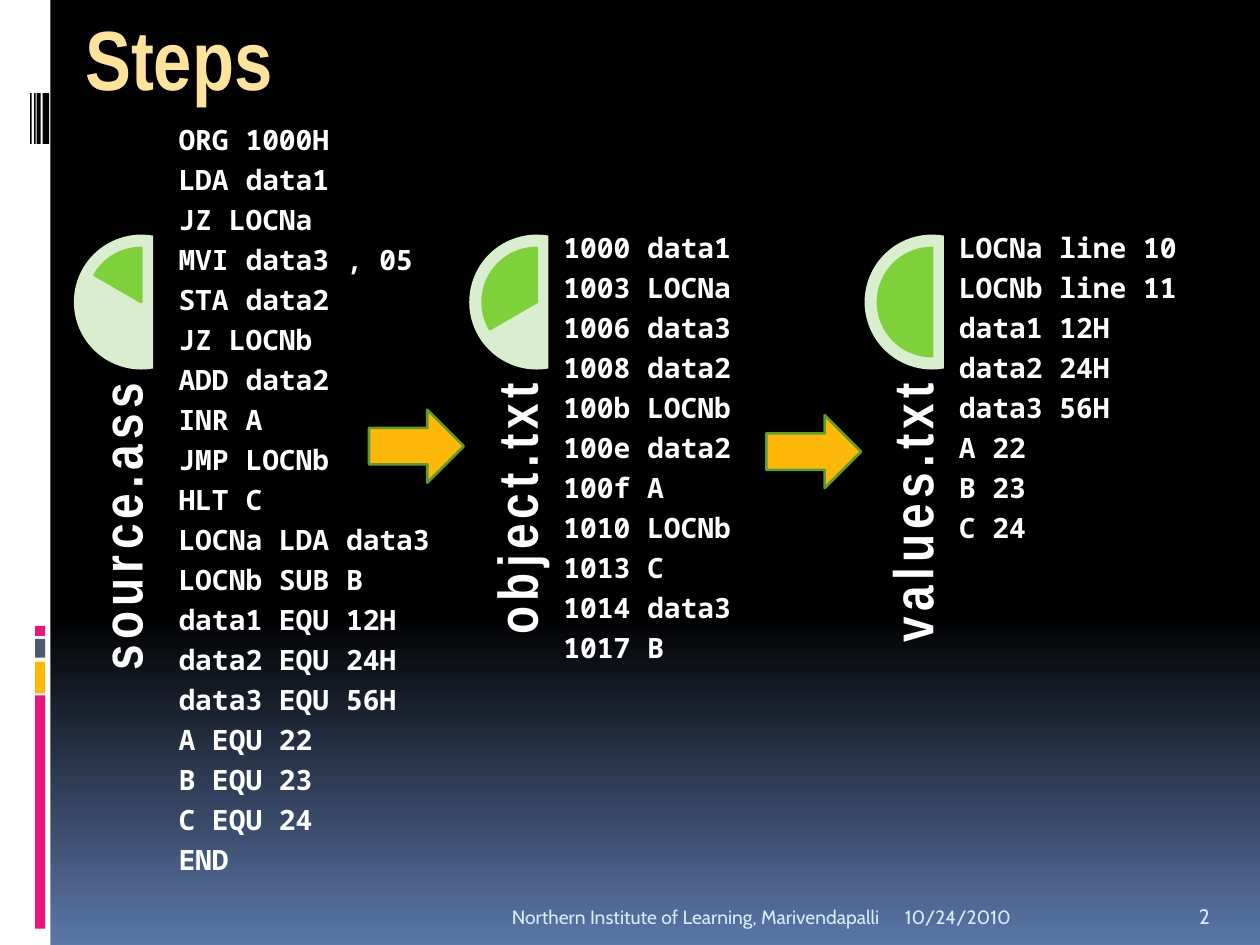
"""Build the slide that shows the steps from source file to object and value files."""
from pptx import Presentation
from pptx.dml.color import RGBColor
from pptx.enum.shapes import MSO_SHAPE
from pptx.enum.text import MSO_ANCHOR, PP_ALIGN
from pptx.util import Cm, Pt

RECT, CHORD, PIE, ARROW = MSO_SHAPE.RECTANGLE, MSO_SHAPE.CHORD, MSO_SHAPE.PIE, MSO_SHAPE.RIGHT_ARROW
TOP, MIDDLE, BOTTOM = MSO_ANCHOR.TOP, MSO_ANCHOR.MIDDLE, MSO_ANCHOR.BOTTOM
LEFT, RIGHT = PP_ALIGN.LEFT, PP_ALIGN.RIGHT

THEME = {
    "black": "000000", "white": "FFFFFF", "sky": "5B77A8", "pink": "EA157A",
    "gold": "FEB80A", "slate": "4E5B6F", "cream": "FFE39D", "ice": "D6ECFF",
    "pale": "D8EECE", "green": "7FD13B", "leaf": "5E9B2C",
    "head": {"name": "Arial Narrow", "size": Pt(48), "bold": True},
    "label": {"name": "Arial Narrow", "size": Pt(32), "bold": True},
    "code": {"name": "Noto Sans Mono", "size": Pt(16), "bold": True},
    "foot": {"name": "Cabin", "size": Pt(11)},
    "page": {"name": "Cabin", "size": Pt(12)},
}
TIGHT = {"line_spacing": 0.9, "space_after": Pt(5.6)}
FLUSH = {"margin_left": 0, "margin_top": 0, "margin_right": 0, "margin_bottom": 0}


def color(name):
    return RGBColor.from_string(THEME[name])


def add_form(kind, box, fill, line=None, turns=()):
    form = slide.shapes.add_shape(kind, *map(Cm, box))
    form.shadow.inherit = False
    form.fill.solid()
    form.fill.fore_color.rgb = color(fill)
    if line:
        form.line.color.rgb = color(line)
        form.line.width = Pt(1.5)
    else:
        form.line.fill.background()
    for i, turn in enumerate(turns):
        form.adjustments[i] = turn


def add_text(box, lines, font, tint, anchor, align=LEFT, frame={}, para={}):
    text = slide.shapes.add_textbox(*map(Cm, box))
    body = text.text_frame
    body.text = "\n".join(lines)
    for key, value in {"word_wrap": True, "vertical_anchor": anchor, **frame}.items():
        setattr(body, key, value)
    for item in body.paragraphs:
        for key, value in {"alignment": align, **para}.items():
            setattr(item, key, value)
        for run in item.runs:
            for key, value in THEME[font].items():
                setattr(run.font, key, value)
            run.font.color.rgb = color(tint)
    return text


deck = Presentation()
deck.slide_width, deck.slide_height = Cm(25.4), Cm(19.05)
slide = deck.slides.add_slide(deck.slide_layouts[6])

back = slide.background.fill
back.gradient()
back.gradient_angle = 270
for stop, spot, tint in zip(back.gradient_stops, (0.65, 1), ("black", "sky")):
    stop.position = spot
    stop.color.rgb = color(tint)

add_form(RECT, (0, 0, 1.02, 19.05), "white")
for top, high, tint in ((14.02, 4.7, "pink"), (13.34, 0.64, "gold"),
                        (12.88, 0.38, "slate"), (12.62, 0.2, "pink")):
    add_form(RECT, (0.71, top, 0.2, high), tint)
for left, wide in ((0.86, 0.13), (0.74, 0.08), (0.69, 0.03), (0.61, 0.03)):
    add_form(RECT, (left, 1.88, wide, 1.02), "black")

add_text((1.47, 0, 21.59, 2.54), ["Steps"], "head", "cream", MIDDLE,
         frame={"margin_bottom": Cm(0.37)})
add_text((17.99, 17.83, 5.92, 1.02), ["10/24/2010"], "foot", "ice", BOTTOM)
add_text((9.73, 17.83, 8.26, 1.02), ["Northern Institute of Learning, Marivendapalli"],
         "foot", "ice", BOTTOM, RIGHT)
add_text((23.92, 17.83, 1.27, 1.02), ["2"], "page", "ice", BOTTOM)

FILES = (
    ("source.ass", 126, 2.11, 2.54, 12.7, (
        "ORG 1000H", "LDA data1", "JZ LOCNa", "MVI data3 , 05", "STA data2",
        "JZ LOCNb", "ADD data2", "INR A", "JMP LOCNb", "HLT C",
        "LOCNa LDA data3", "LOCNb SUB B", "data1 EQU 12H", "data2 EQU 24H",
        "data3 EQU 56H", "A EQU 22", "B EQU 23", "C EQU 24", "END")),
    ("object.txt", 90, 1.9, 4.72, 10.87, (
        "1000 data1", "1003 LOCNa", "1006 data3", "1008 data2", "100b LOCNb",
        "100e data2", "100f A", "1010 LOCNb", "1013 C", "1014 data3", "1017 B")),
    ("values.txt", 54, 1.9, 4.72, 10.87, (
        "LOCNa line 10", "LOCNb line 11", "data1 12H", "data2 24H",
        "data3 56H", "A 22", "B 23", "C 24")),
)
for i, (name, start, gap, top, high, lines) in enumerate(FILES):
    left = 1.49 + 7.97 * i
    add_form(CHORD, (left, 4.73, 2.72, 2.72), "pale", turns=(48, 168))
    add_form(PIE, (left + 0.27, 5, 2.18, 2.18), "green", "green", (start, 162))
    label = add_text((left - 3.12, 10.84, 7.87, 1.63), [name], "label", "white",
                     BOTTOM, RIGHT, FLUSH, TIGHT)
    label.rotation = 270
    label.text_frame.paragraphs[0].runs[0].font._element.set("spc", "300")
    add_text((left + gap, top, 5.44, high), lines, "code", "white", TOP, LEFT, FLUSH, TIGHT)

for left, top in ((7.44, 8.26), (15.45, 8.37)):
    add_form(ARROW, (left, top, 1.91, 1.47), "gold", "leaf")

deck.save("out.pptx")
